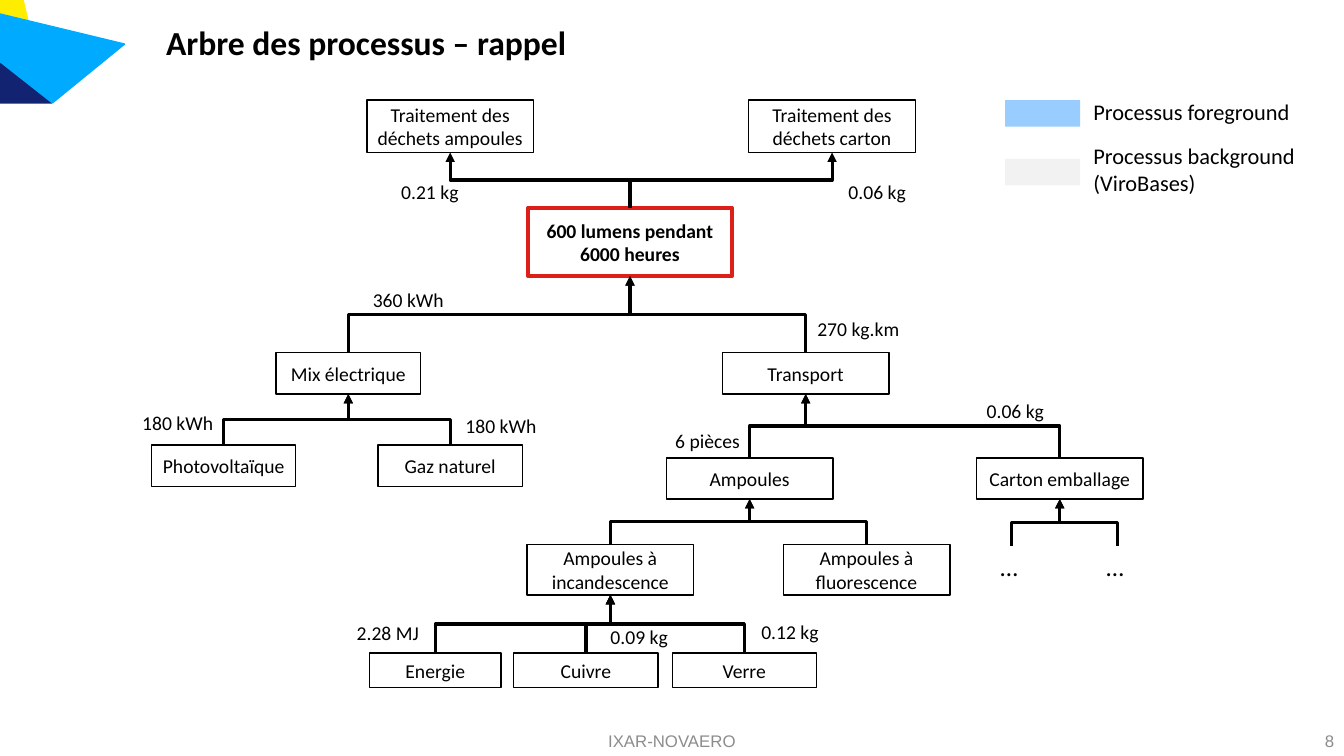
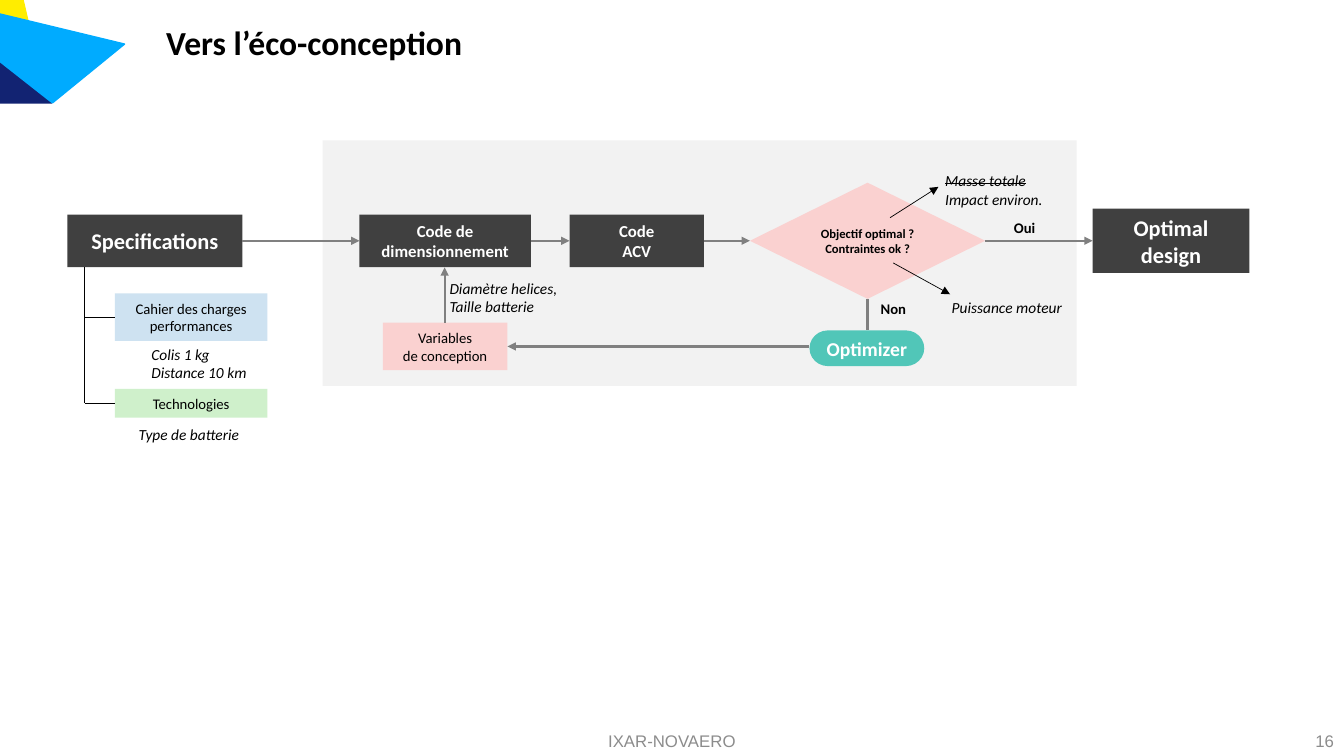
import itertools

import lxml.etree
import pptx
import pptx.dml.color
import pptx.enum.shapes
import pptx.enum.text
import pptx.oxml.ns
import pptx.util

Pt = pptx.util.Pt
qn = pptx.oxml.ns.qn
SHAPE = pptx.enum.shapes.MSO_SHAPE
CONNECTOR = pptx.enum.shapes.MSO_CONNECTOR
ALIGN = pptx.enum.text.PP_ALIGN
ANCHOR = pptx.enum.text.MSO_ANCHOR

COLORS = {
    "black": "000000", "white": "FFFFFF", "footer": "8C8C8C",
    "yellow": "FFED00", "navy": "122372", "sky": "00ABFF",
    "red": "DD1F19", "foreground": "99CCFF", "background": "F2F2F2",
    "dark": "404040", "arrow": "808080", "teal": "51C6B8",
    "pink": "FAD1D0", "blue": "CEE2F1", "green": "CFF0CB",
}
CORNER = [
    ("yellow", [(0, 0), (0.7, 10.8), (20, 15), (16.5, 0)]),
    ("navy", [(0.5, 42.5), (0, 73.5), (37, 73.5)]),
    ("sky", [(0, 10), (0, 44), (37.5, 73.5), (89, 31.5)]),
]

# Process tree: name -> text, centre x, level, width
LEVELS = {  # top, height
    "waste": (71.5, 37.5), "unit": (148.3, 49), "inputs": (252, 29.5),
    "energy": (318, 29.5), "goods": (327, 29.5), "bulbs": (389, 36),
    "materials": (466.5, 24.5),
}
PROCESSES = {
    "unit": ("600 lumens pendant 6000 heures", 450, "unit", 145.4),
    "bulb waste": ("Traitement des déchets ampoules", 321.6, "waste", 119),
    "box waste": ("Traitement des déchets carton", 594.3, "waste", 119),
    "mix": ("Mix électrique", 248.8, "inputs", 103),
    "transport": ("Transport", 575.5, "inputs", 119),
    "solar": ("Photovoltaïque", 159.8, "energy", 103),
    "gas": ("Gaz naturel", 321.6, "energy", 103),
    "bulbs": ("Ampoules", 535.5, "goods", 119),
    "box": ("Carton emballage", 757, "goods", 119),
    "incandescent": ("Ampoules à incandescence", 436, "bulbs", 119),
    "fluorescent": ("Ampoules à fluorescence", 619, "bulbs", 119),
    "power": ("Energie", 311, "materials", 94),
    "copper": ("Cuivre", 418.5, "materials", 103),
    "glass": ("Verre", 531.7, "materials", 103),
}
FLOWS = [  # lower process, upper process
    ("unit", "bulb waste"), ("unit", "box waste"),
    ("mix", "unit"), ("transport", "unit"),
    ("solar", "mix"), ("gas", "mix"),
    ("bulbs", "transport"), ("box", "transport"),
    ("incandescent", "bulbs"), ("fluorescent", "bulbs"),
    ("power", "incandescent"), ("copper", "incandescent"),
    ("glass", "incandescent"),
]
QUANTITIES = [  # text, left, top
    ("0.21 kg", 279.5, 125.3), ("0.06 kg", 599, 125.3),
    ("360 kWh", 259.2, 202.3), ("270 kg.km", 576.7, 222.8),
    ("180 kWh", 94.5, 290), ("180 kWh", 325.4, 292.2),
    ("6 pièces", 475.2, 302.6), ("0.06 kg", 697.7, 281.3),
    ("2.28 MJ", 247.7, 440), ("0.09 kg", 429, 442.8),
    ("0.12 kg", 536.7, 439.3),
]


def rgb(color):
    return pptx.dml.color.RGBColor.from_string(COLORS[color])


def write(shape, text, size, color="black", bold=False, italic=False,
          align=ALIGN.LEFT, anchor=ANCHOR.TOP, font="Calibri"):
    frame = shape.text_frame
    frame.text = text
    frame.word_wrap = True
    frame.vertical_anchor = anchor
    for paragraph in frame.paragraphs:
        paragraph.alignment = align
        for run in paragraph.runs:
            run.font.name = font
            run.font.size = Pt(size)
            run.font.bold = bold
            run.font.italic = italic
            run.font.color.rgb = rgb(color)


def add_label(slide, text, left, top, size, width=110, height=24, **style):
    label = slide.shapes.add_textbox(Pt(left), Pt(top), Pt(width), Pt(height))
    write(label, text, size, **style)
    return label


def add_box(slide, left, top, width, height, fill, text="", size=12,
            outline=None, outline_width=1, kind=SHAPE.RECTANGLE, **style):
    box = slide.shapes.add_shape(kind, Pt(left), Pt(top), Pt(width), Pt(height))
    box.shadow.inherit = False
    box.fill.solid()
    box.fill.fore_color.rgb = rgb(fill)
    if outline:
        box.line.color.rgb = rgb(outline)
        box.line.width = Pt(outline_width)
    else:
        box.line.fill.background()
    if text:
        box.text_frame.margin_left = box.text_frame.margin_right = Pt(5)
        write(box, text, size, align=ALIGN.CENTER, anchor=ANCHOR.MIDDLE, **style)
    return box


def add_line(slide, start, end, color, width, arrow=True,
             kind=CONNECTOR.STRAIGHT):
    ends = [Pt(value) for value in (*start, *end)]
    line = slide.shapes.add_connector(kind, *ends)
    line.line.color.rgb = rgb(color)
    line.line.width = Pt(width)
    properties = line.element.spPr
    if arrow:
        outline = properties.find(qn("a:ln"))
        lxml.etree.SubElement(outline, qn("a:tailEnd"), type="triangle")
    lxml.etree.SubElement(properties, qn("a:effectLst"))
    return line


def add_riser(slide, start, end):
    """Elbow arrow that leaves and arrives vertically: a turned elbow."""
    (x1, y1), (x2, y2) = start, end
    x, y = (x1 + x2) / 2, (y1 + y2) / 2
    turn = 1 if x2 > x1 else -1
    turned = [(x + turn * (py - y), y - turn * (px - x)) for px, py in (start, end)]
    riser = add_line(slide, *turned, "black", 2.25, kind=CONNECTOR.ELBOW)
    angle = 90 if turn == 1 else 270
    riser.element.spPr.find(qn("a:xfrm")).set("rot", str(angle * 60000))


def add_base_slide(deck, title, number):
    """Blank slide with the corner motif, title and footer."""
    slide = deck.slides.add_slide(deck.slide_layouts[6])
    for color, points in CORNER:
        (x, y), *rest = [(Pt(px), Pt(py)) for px, py in points]
        builder = slide.shapes.build_freeform(x, y)
        builder.add_line_segments(rest)
        facet = builder.convert_to_shape()
        facet.shadow.inherit = False
        facet.fill.solid()
        facet.fill.fore_color.rgb = rgb(color)
        facet.line.color.rgb = rgb(color)
        facet.line.width = Pt(1)
    heading = add_label(slide, title, 111.6, 0, 24, 848, 63.4, bold=True,
                        anchor=ANCHOR.MIDDLE)
    heading.text_frame.paragraphs[0].line_spacing = 0.9
    for text, left, width, align in [
            ("IXAR-NOVAERO", 318, 324, ALIGN.CENTER),
            (str(number), 744, 216, ALIGN.RIGHT)]:
        add_label(slide, text, left, 519.5, 12, width, 19, color="footer",
                  font="Arial", align=align, anchor=ANCHOR.MIDDLE)
    return slide


def build_process_tree(deck):
    slide = add_base_slide(deck, "Arbre des processus – rappel", 8)
    tops, bottoms = {}, {}
    for name, (text, center, level, width) in PROCESSES.items():
        top, height = LEVELS[level]
        main = name == "unit"
        add_box(slide, center - width / 2, top, width, height, "white", text, 14,
                outline="red" if main else "black",
                outline_width=3 if main else 1, bold=main)
        tops[name] = (center, top)
        bottoms[name] = (center, top + height)
    for lower, upper in FLOWS:
        add_riser(slide, tops[lower], bottoms[upper])
    for center in (722.7, 798.4):
        add_riser(slide, (center, 390), bottoms["box"])
        add_label(slide, "…", center - 18, 390, 18, 32, 29, align=ALIGN.CENTER)
    for text, left, top in QUANTITIES:
        add_label(slide, text, left, top, 14, 80)
    for color, text, swatch_top, text_top in [
            ("foreground", "Processus foreground", 71.5, 66.7),
            ("background", "Processus background\n(ViroBases)", 113.5, 98)]:
        add_box(slide, 718, swatch_top, 53.5, 19, color)
        add_label(slide, text, 774, text_top, 16, 175)


def build_design_loop(deck):
    slide = add_base_slide(deck, "Vers l’éco-conception", 16)
    axis = 172
    add_box(slide, 230.4, 100.2, 538.6, 175.5, "background")

    steps = [  # left, width, height, fill, text, size, text colour, kind
        (48.2, 125, 37.5, "dark", "Specifications", 16, "white", SHAPE.RECTANGLE),
        (256.8, 122.4, 37.5, "dark", "Code de\ndimensionnement", 12, "white",
         SHAPE.RECTANGLE),
        (406.8, 96, 37.5, "dark", "Code\nACV", 12, "white", SHAPE.RECTANGLE),
        (535.7, 168, 83, "pink", "Objectif optimal ?\nContraintes ok ?", 9,
         "black", SHAPE.FLOWCHART_DECISION),
        (780.5, 112, 46, "dark", "Optimal\ndesign", 16, "white", SHAPE.RECTANGLE),
    ]
    for left, width, height, fill, text, size, color, kind in steps:
        add_box(slide, left, axis - height / 2, width, height, fill, text, size,
                kind=kind, color=color, bold=True)
    for step, following in itertools.pairwise(steps):
        add_line(slide, (step[0] + step[1], axis), (following[0], axis),
                 "arrow", 1.5)

    add_box(slide, 578.2, 236, 82, 25.5, "teal", "Optimizer", 14, color="white",
            bold=True, kind=SHAPE.FLOWCHART_TERMINATOR)
    for left, top, width, height, fill, text in [
            (82, 209.5, 109, 34, "blue", "Cahier des charges\nperformances"),
            (82, 277.7, 109, 20.7, "green", "Technologies"),
            (273.5, 230.4, 89, 34, "pink", "Variables\nde conception")]:
        add_box(slide, left, top, width, height, fill, text, 10.5)

    for start, end, color, width, arrow in [
            ((619.7, 213.5), (619.7, 236), "arrow", 1.5, False),
            ((578.2, 247.5), (362.5, 247.5), "arrow", 1.5, True),
            ((317.6, 230.4), (317.6, 191), "arrow", 1.5, True),
            ((635.8, 155.5), (670.3, 133.5), "black", 0.5, True),
            ((638, 187.8), (678.6, 210.2), "black", 0.5, True),
            ((60.5, 191), (60.5, 288), "black", 0.5, False),
            ((60.5, 226.5), (82, 226.5), "black", 0.5, False),
            ((60.5, 288), (82, 288), "black", 0.5, False)]:
        add_line(slide, start, end, color, width, arrow)

    for text, left, top in [("Non", 622, 210.5), ("Oui", 717.2, 152.7)]:
        add_label(slide, text, left, top, 10.5, 40, 20, bold=True)
    for text, left, top in [
            ("Diamètre helices,\nTaille batterie", 314, 195.8),
            ("Colis 1 kg\nDistance 10 km", 101, 242.7),
            ("Type de batterie", 92, 300.3),
            ("Puissance moteur", 672.7, 209.5)]:
        add_label(slide, text, left, top, 11, italic=True)
    goals = add_label(slide, "Masse totale\nImpact environ.", 668, 118.7, 11,
                      italic=True)
    dropped = goals.text_frame.paragraphs[0].runs[0]
    dropped.font._element.set("strike", "sngStrike")


def main():
    deck = pptx.Presentation()
    deck.slide_width, deck.slide_height = Pt(960), Pt(540)
    build_process_tree(deck)
    build_design_loop(deck)
    deck.save("out.pptx")


if __name__ == "__main__":
    main()
